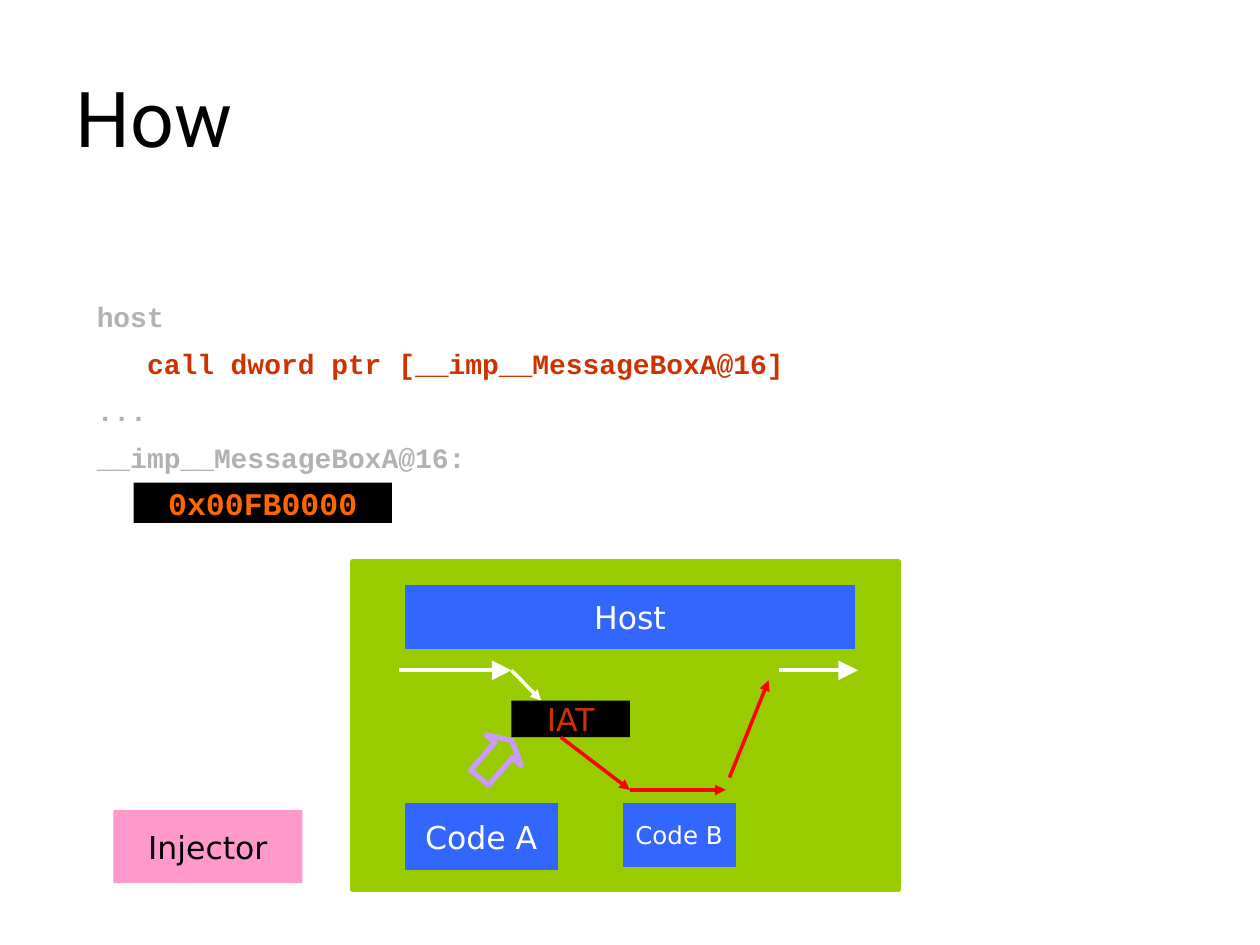
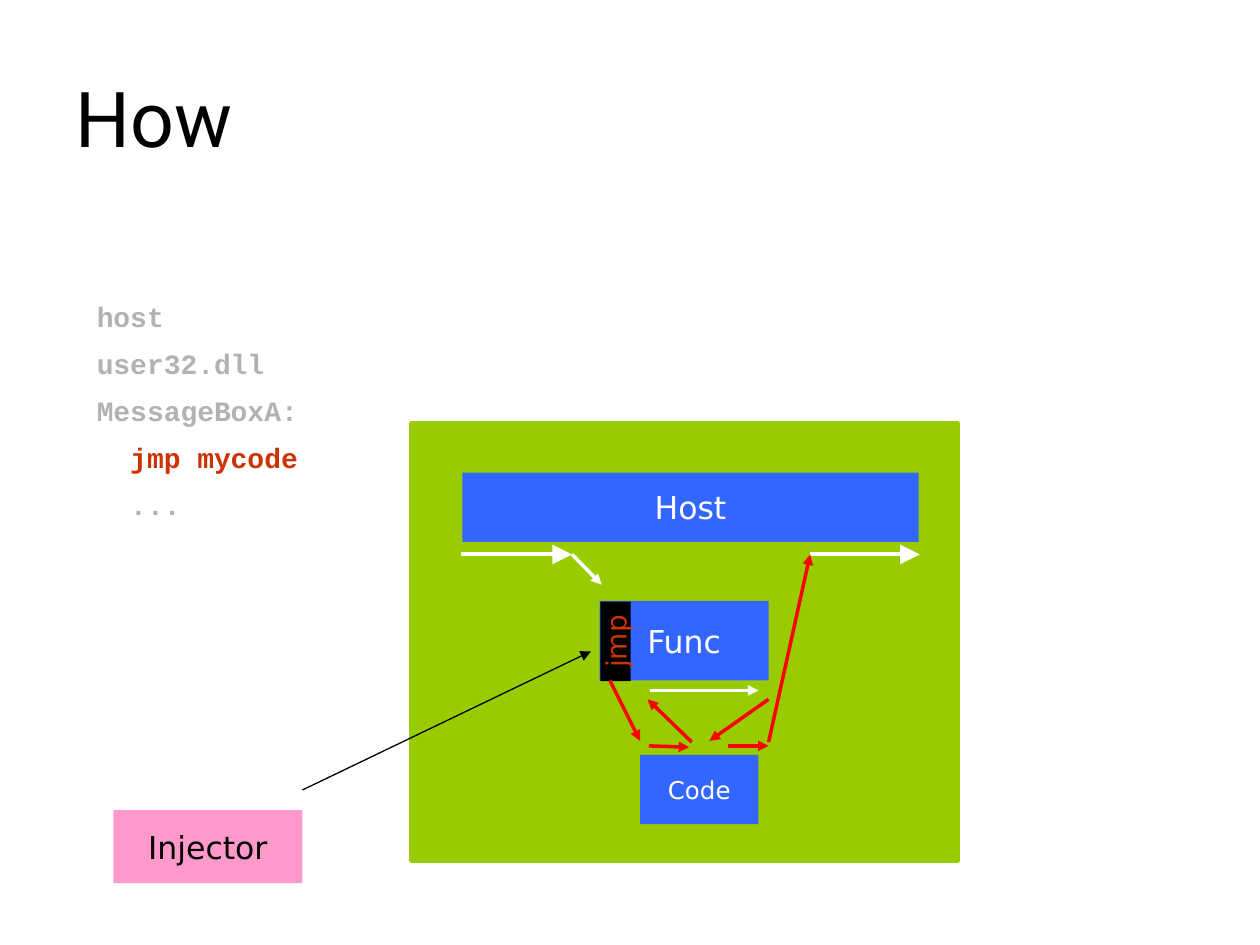
from lxml import etree
from pptx import Presentation
from pptx import util as u
from pptx.dml import color
from pptx.enum import shapes, text
from pptx.oxml import ns

BLACK, WHITE, RED = "000000", "FFFFFF", "FF0000"
GREEN, BLUE, PINK, LILAC = "99CC00", "3366FF", "FF99CC", "CC99FF"
GREY, RUST, ORANGE = "B2B2B2", "CC3300", "FF6600"
SANS, MONO, TITLE_FONT = "DejaVu Sans", "Courier New", "Roboto"


def rgb(value):
    """Turn a hex string into a colour."""
    return color.RGBColor.from_string(value)


def add_run(p, content, size, fill, font=SANS, bold=False):
    """Add one formatted run to a paragraph."""
    r = p.add_run()
    r.text = content
    r.font.size, r.font.name, r.font.bold = u.Pt(size), font, bold
    r.font.color.rgb = rgb(fill)


def add_title(s, content):
    """Add the slide title."""
    tf = s.shapes.add_textbox(*map(u.Inches, (0.5, 0.3, 9, 1.25))).text_frame
    tf.word_wrap = True
    tf.vertical_anchor = text.MSO_ANCHOR.MIDDLE
    add_run(tf.paragraphs[0], content, 44, BLACK, TITLE_FONT)


def add_code(s, lines):
    """Add a code listing from (text, colour) lines."""
    tf = s.shapes.add_textbox(*map(u.Inches, (0.67, 2.22, 8.66, 1.97))).text_frame
    tf.word_wrap = True
    for i, (content, fill) in enumerate(lines):
        p = tf.add_paragraph() if i else tf.paragraphs[0]
        p.line_spacing = 1.4
        add_run(p, content, 16, fill, MONO, True)


def add_shape(s, box, fill=None, line=None, kind=shapes.MSO_SHAPE.RECTANGLE):
    """Add a flat shape with an optional fill and 3 pt outline."""
    sp = s.shapes.add_shape(kind, *map(u.Inches, box))
    sp.shadow.inherit = False
    if fill:
        sp.fill.solid()
        sp.fill.fore_color.rgb = rgb(fill)
    else:
        sp.fill.background()
    if line:
        sp.line.color.rgb = rgb(line)
        sp.line.width = u.Pt(3)
    else:
        sp.line.fill.background()
    return sp


def add_label(s, content, box, fill=BLUE, ink=WHITE, size=18, font=SANS,
              bold=False, line=None):
    """Add a filled box with centred text."""
    sp = add_shape(s, box, fill, line)
    tf = sp.text_frame
    tf.word_wrap = False
    tf.vertical_anchor = text.MSO_ANCHOR.MIDDLE
    p = tf.paragraphs[0]
    p.alignment = text.PP_ALIGN.CENTER
    add_run(p, content, size, ink, font, bold)
    return sp


def add_arrow(s, x1, y1, x2, y2, fill=RED, width=2, head="med"):
    """Add a straight arrow between two points."""
    sp = s.shapes.add_connector(shapes.MSO_CONNECTOR.STRAIGHT,
                                *map(u.Inches, (x1, y1, x2, y2)))
    sp.line.color.rgb = rgb(fill)
    sp.line.width = u.Pt(width)
    tail = etree.SubElement(sp.line._get_or_add_ln(), ns.qn("a:tailEnd"))
    for key, value in (("type", "triangle"), ("w", head), ("len", head)):
        tail.set(key, value)
    etree.SubElement(sp._element.spPr, ns.qn("a:effectLst"))


def add_host_flow(s, y, start, leave, resume, end):
    """Add the host's execution line, broken where the call leaves it."""
    add_arrow(s, start, y, leave, y, WHITE, 2.25, "lg")
    add_arrow(s, leave, y, leave + 0.235, y + 0.24, WHITE)
    add_arrow(s, resume, y, end, y, WHITE, 2.25, "lg")


def start_slide(prs, code):
    """Add a slide with the shared title, listing and injector box."""
    s = prs.slides.add_slide(prs.slide_layouts[6])
    add_title(s, "How")
    add_code(s, code)
    add_label(s, "Injector", (0.9, 6.43, 1.5, 0.58), PINK, BLACK)
    return s


def build_import_slide(prs):
    """Show the hook through the import address table."""
    s = start_slide(prs, [
        ("host", GREY),
        ("   call dword ptr [__imp__MessageBoxA@16]", RUST),
        ("...", GREY),
        ("__imp__MessageBoxA@16:", GREY),
    ])
    add_label(s, "0x00FB0000", (1.06, 3.83, 2.05, 0.32), BLACK, ORANGE,
              font=MONO, bold=True)
    add_shape(s, (2.8, 4.46, 4.33, 2.6), GREEN, GREEN)
    add_label(s, "Host", (3.19, 4.62, 3.62, 0.55), line=GREEN)
    add_host_flow(s, 5.32, 3.17, 4.06, 6.18, 6.81)
    add_label(s, "IAT", (4.06, 5.56, 0.94, 0.29), BLACK, RUST)
    for ends in ((4.45, 5.85, 5, 6.27), (5, 6.27, 5.76, 6.27), (5.79, 6.17, 6.1, 5.4)):
        add_arrow(s, *ends)
    add_label(s, "Code A", (3.19, 6.35, 1.26, 0.58), line=GREEN)
    add_label(s, "Code B", (4.92, 6.35, 0.94, 0.55), size=14, line=GREEN)
    patch = add_shape(s, (3.74, 5.84, 0.39, 0.37), line=LILAC,
                      kind=shapes.MSO_SHAPE.RIGHT_ARROW)
    patch.adjustments[1] = 0.27
    patch.rotation = 311.2


def build_jump_slide(prs):
    """Show the hook through a jump written into the function."""
    s = start_slide(prs, [
        ("host", GREY),
        ("user32.dll", GREY),
        ("MessageBoxA:", GREY),
        ("  jmp mycode", RUST),
        ("  ...", GREY),
    ])
    add_shape(s, (3.27, 3.36, 4.33, 3.47), GREEN, GREEN)
    add_label(s, "Host", (3.67, 3.75, 3.62, 0.55))
    add_host_flow(s, 4.4, 3.66, 4.54, 6.43, 7.3)
    add_label(s, "Func", (4.76, 4.77, 1.34, 0.63))
    add_label(s, "jmp", (4.57, 4.97, 0.63, 0.24), BLACK, RUST, 16).rotation = 270
    add_label(s, "Code", (5.08, 5.99, 0.94, 0.55), size=14)
    add_arrow(s, 2.4, 6.27, 4.69, 5.17, BLACK, 0.75)
    add_arrow(s, 5.16, 5.48, 6.02, 5.48, WHITE)
    for ends in ((4.84, 5.4, 5.08, 5.88), (5.15, 5.92, 5.47, 5.93),
                 (5.49, 5.89, 5.14, 5.55), (6.1, 5.55, 5.63, 5.88),
                 (5.78, 5.92, 6.1, 5.92), (6.1, 5.89, 6.43, 4.4)):
        add_arrow(s, *ends)


def main():
    """Build and save the presentation."""
    prs = Presentation()
    prs.slide_width, prs.slide_height = u.Inches(10), u.Inches(7.5)
    build_import_slide(prs)
    build_jump_slide(prs)
    prs.save("out.pptx")


if __name__ == "__main__":
    main()
